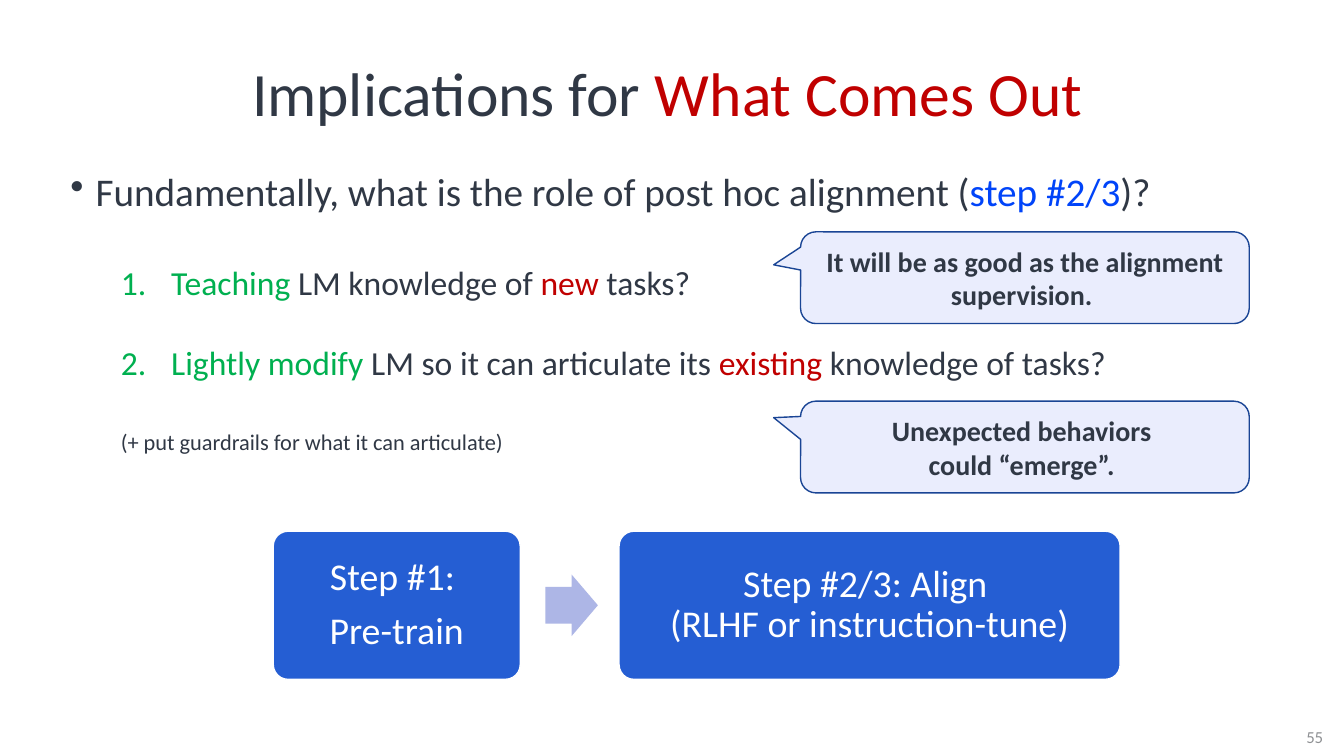
from dataclasses import dataclass

from lxml import etree
from pptx import Presentation
from pptx import util as u
from pptx.dml.color import RGBColor
from pptx.enum import shapes, text
from pptx.oxml import ns

EMU_PER_PX = 9144  # 100 px to the inch


@dataclass(frozen=True)
class Theme:
    font: str = "Calibri"
    ink: str = "303845"
    red: str = "C00000"
    green: str = "00B050"
    blue: str = "0044F9"
    grey: str = "8F9194"
    white: str = "FFFFFF"
    step_fill: str = "255ED3"
    arrow_fill: str = "ADB6E6"
    callout_fill: str = "EAEDFD"
    callout_line: str = "1A4595"
    title_size: int = 44
    question_size: int = 28
    step_size: int = 27
    option_size: int = 24
    callout_size: int = 20
    note_size: int = 16
    page_size: int = 12


THEME = Theme()


def px(length):
    return u.Emu(round(length * EMU_PER_PX))


def style(font, size, color, bold=False):
    font.name = THEME.font
    font.size = u.Pt(size)
    font.bold = bold
    font.color.rgb = RGBColor.from_string(color)


def write_runs(paragraph, size, runs):
    """Fill a paragraph from (wording, colour) pairs."""
    for wording, color in runs:
        run = paragraph.add_run()
        run.text = wording
        style(run.font, size, color)


def set_bullet(paragraph, left, indent, tag="buNone", **attributes):
    properties = paragraph._p.get_or_add_pPr()
    properties.set("marL", str(px(left)))
    properties.set("indent", str(px(indent)))
    etree.SubElement(properties, ns.qn(f"a:{tag}"), attributes)


def add_text_area(slide, box, anchor=text.MSO_ANCHOR.TOP):
    frame = slide.shapes.add_textbox(*map(px, box)).text_frame
    frame.word_wrap = True
    frame.vertical_anchor = anchor
    return frame


def add_filled(slide, kind, box, fill, line=None, adjustments=()):
    shape = slide.shapes.add_shape(kind, *map(px, box))
    shape.shadow.inherit = False
    shape.fill.solid()
    shape.fill.fore_color.rgb = RGBColor.from_string(fill)
    if line:
        shape.line.color.rgb = RGBColor.from_string(line)
        shape.line.width = u.Pt(1)
    else:
        shape.line.fill.background()
    for index, value in enumerate(adjustments):
        shape.adjustments[index] = value
    return shape


def add_title(slide, box):
    title = add_text_area(slide, box, text.MSO_ANCHOR.MIDDLE).paragraphs[0]
    title.alignment = text.PP_ALIGN.CENTER
    title.line_spacing = 0.9
    write_runs(title, THEME.title_size,
               [("Implications for ", THEME.ink), ("What Comes Out ", THEME.red)])


def add_question(slide, box):
    """The question, its two numbered answers and the side note."""
    t = THEME
    bullet = dict(left=25, indent=-25, tag="buChar", char="•")
    number = dict(left=100, indent=-50, tag="buAutoNum", type="arabicPeriod")
    plain = dict(left=50, indent=0)
    rows = [
        (t.question_size, 0, bullet, [
            ("Fundamentally, what is the role of post hoc alignment (", t.ink),
            ("step #2/3", t.blue), (")?", t.ink)]),
        (t.option_size, 37, number, [
            ("Teaching ", t.green), ("LM knowledge of ", t.ink),
            ("new ", t.red), ("tasks?", t.ink)]),
        (t.option_size, 31, number, [
            ("Lightly modify", t.green), (" LM so it can articulate its ", t.ink),
            ("existing", t.red), (" knowledge of tasks?", t.ink)]),
        (t.note_size, 35, plain, [
            ("(+ put guardrails for what it can articulate)", t.ink)]),
    ]
    frame = add_text_area(slide, box)
    for index, (size, gap, marker, runs) in enumerate(rows):
        paragraph = frame.add_paragraph() if index else frame.paragraphs[0]
        paragraph.line_spacing = 0.9
        if gap:
            paragraph.space_before = u.Pt(gap)
        set_bullet(paragraph, **marker)
        write_runs(paragraph, size, runs)


def write_centred(frame, wording, size, color, bold=False, spacing=1.0, gap=0):
    frame.word_wrap = True
    frame.vertical_anchor = text.MSO_ANCHOR.MIDDLE
    frame.text = wording
    for index, paragraph in enumerate(frame.paragraphs):
        paragraph.alignment = text.PP_ALIGN.CENTER
        paragraph.line_spacing = spacing
        if index:
            paragraph.space_before = u.Pt(gap)
        for run in paragraph.runs:
            style(run.font, size, color, bold)


def add_callout(slide, box, wording, tip):
    callout = add_filled(slide, shapes.MSO_SHAPE.ROUNDED_RECTANGULAR_CALLOUT, box,
                         THEME.callout_fill, THEME.callout_line, (*tip, 0.167))
    write_centred(callout.text_frame, wording, THEME.callout_size, THEME.ink, bold=True)


def add_step(slide, box, wording):
    step = add_filled(slide, shapes.MSO_SHAPE.ROUNDED_RECTANGLE, box,
                      THEME.step_fill, THEME.white, (0.1,))
    write_centred(step.text_frame, wording, THEME.step_size, THEME.white,
                  spacing=0.9, gap=9)


def add_process(slide, box):
    left, top, width, height = box
    pretrain_width, align_width = 245, 497
    arrow_width, arrow_height = 52, 61
    add_step(slide, (left, top, pretrain_width, height), "Step #1: \nPre-train")
    add_filled(slide, shapes.MSO_SHAPE.RIGHT_ARROW,
               (left + pretrain_width + 25, top + (height - arrow_height) / 2,
                arrow_width, arrow_height),
               THEME.arrow_fill, adjustments=(0.6, 0.5))
    add_step(slide, (left + width - align_width, top, align_width, height),
             "Step #2/3: Align \v(RLHF or instruction-tune)")


def add_page_number(slide, box):
    write_centred(add_text_area(slide, box), "55", THEME.page_size, THEME.grey)


def main():
    deck = Presentation()
    deck.slide_width, deck.slide_height = px(1333), px(750)
    slide = deck.slides.add_slide(deck.slide_layouts[6])
    add_question(slide, (60, 166, 1230, 510))
    add_page_number(slide, (1275, 711, 58, 40))
    add_title(slide, (22, 41, 1294, 110))
    add_process(slide, (271, 527, 840, 147))
    add_callout(slide, (794, 398, 445, 91),
                "Unexpected behaviors \vcould “emerge”. ", (-0.56, -0.32))
    add_callout(slide, (794, 230, 445, 91),
                "It will be as good as the alignment supervision. ", (-0.56, -0.14))
    deck.save("out.pptx")


if __name__ == "__main__":
    main()
